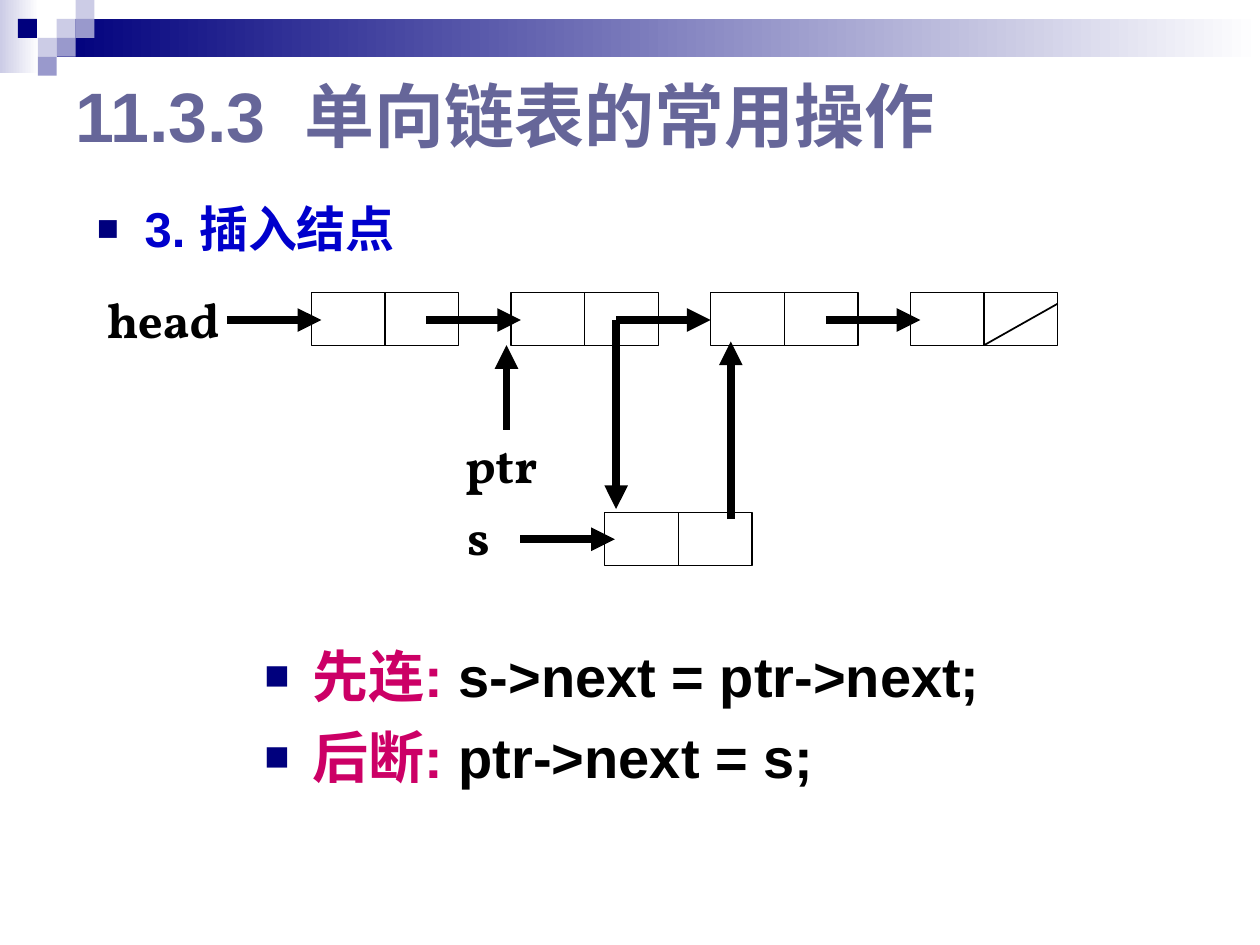
from dataclasses import dataclass

from lxml.etree import SubElement
from pptx import Presentation
from pptx.dml.color import RGBColor
from pptx.enum.shapes import MSO_CONNECTOR as Connector, MSO_SHAPE as Shape
from pptx.enum.text import MSO_ANCHOR as Anchor, PP_ALIGN as Align
from pptx.oxml.ns import qn
from pptx.util import Inches, Pt


@dataclass(frozen=True)
class Theme:
    navy: str = "00007D"
    lilac: str = "9999CC"
    pale: str = "CCCCE6"
    white: str = "FFFFFF"
    black: str = "000000"
    title: str = "666699"
    heading: str = "0000CC"
    step: str = "CC0066"
    sans: str = "Arial"
    serif: str = "Vollkorn"
    title_size: int = 40
    step_size: int = 32
    label_size: int = 28
    arrow_width: float = 4.5


THEME = Theme()
SQUARE = 0.15  # unit of the corner mosaic

# Linked-list grid: one column per node, two cells per node
FIRST_NODE, NODE_STEP = 2.47, 1.585
CELL_W, CELL_H = 0.585, 0.42
LIST_TOP, NEW_TOP = 2.32, 4.07
LIST_MID = LIST_TOP + 0.22
NEW_NODE = 4.8
LINK_BACK, LINK_IN = 0.67, 0.08  # an arrow starts before a node, ends inside it


def node_x(column):
    return FIRST_NODE + column * NODE_STEP


def color(value):
    return RGBColor.from_string(value)


def add_box(slide, x, y, w, h, fill=None, fade_to=None):
    """A filled block without outline, or an outlined empty cell."""
    box = slide.shapes.add_shape(Shape.RECTANGLE, *map(Inches, (x, y, w, h)))
    box.shadow.inherit = False
    if fade_to:
        box.fill.gradient()
        box.fill.gradient_angle = 0
        for stop, shade in zip(box.fill.gradient_stops, (fill, fade_to)):
            stop.color.rgb = color(shade)
    elif fill:
        box.fill.solid()
        box.fill.fore_color.rgb = color(fill)
    else:
        box.fill.background()
    if fill:
        box.line.fill.background()
    else:
        box.line.color.rgb = color(THEME.black)
        box.line.width = Pt(0.75)


def add_line(slide, start, end, width=THEME.arrow_width, arrow=True):
    line = slide.shapes.add_connector(
        Connector.STRAIGHT, *map(Inches, (*start, *end)))
    line.line.color.rgb = color(THEME.black)
    line.line.width = Pt(width)
    if arrow:
        SubElement(line.line._get_or_add_ln(), qn("a:tailEnd"), type="triangle")
    SubElement(line._element.spPr, qn("a:effectLst"))


def add_node(slide, x, y):
    for cell in range(2):
        add_box(slide, x + cell * CELL_W, y, CELL_W, CELL_H)


def add_link(slide, x, y):
    add_line(slide, (x - LINK_BACK, y), (x + LINK_IN, y))


def add_text_frame(slide, x, y, w, h, wrap=True):
    frame = slide.shapes.add_textbox(*map(Inches, (x, y, w, h))).text_frame
    frame.word_wrap = wrap
    return frame


def style(run, size, shade, face=THEME.sans):
    run.font.size = Pt(size)
    run.font.bold = True
    run.font.name = face
    run.font.color.rgb = color(shade)


def add_label(slide, text, x, y, w):
    frame = add_text_frame(slide, x, y, w, 0.57, wrap=False)
    frame.text = text
    style(frame.paragraphs[0].runs[0], THEME.label_size, THEME.black, THEME.serif)


def add_bullet(paragraph):
    props = paragraph._p.get_or_add_pPr()
    indent = Inches(0.38)
    props.set("marL", str(indent))
    props.set("indent", str(-indent))
    SubElement(SubElement(props, qn("a:buClr")), qn("a:srgbClr"), val=THEME.navy)
    SubElement(props, qn("a:buSzPct"), val="75000")
    SubElement(props, qn("a:buFont"), typeface=THEME.sans)
    SubElement(props, qn("a:buChar"), char="■")


def draw_header(slide):
    # Fading bands behind the mosaic
    add_box(slide, 0, 0, 0.31, 0.58, THEME.pale, THEME.white)
    add_box(slide, 3 * SQUARE, SQUARE, 10 - 3 * SQUARE, 2 * SQUARE,
            THEME.navy, THEME.white)
    # Mosaic squares by column and row
    mosaic = {THEME.pale: [(3, 1), (4, 0), (2, 2)],
              THEME.lilac: [(4, 1), (3, 2), (2, 3)],
              THEME.navy: [(0.95, 1)]}
    for shade, squares in mosaic.items():
        for column, row in squares:
            add_box(slide, column * SQUARE, row * SQUARE, SQUARE, SQUARE, shade)


def draw_headings(slide):
    title = add_text_frame(slide, 0.5, 0.5, 9, 0.81)
    title.vertical_anchor = Anchor.MIDDLE
    title.text = "11.3.3  单向链表的常用操作"
    style(title.paragraphs[0].runs[0], THEME.title_size, THEME.title)

    topic = add_text_frame(slide, 0.67, 1.62, 8.51, 5.28)
    topic.text = "3. 插入结点"
    paragraph = topic.paragraphs[0]
    paragraph.line_spacing = 0.8
    add_bullet(paragraph)
    style(paragraph.runs[0], THEME.label_size, THEME.heading)


def draw_list(slide):
    # Existing chain; the link after ptr branches
    for column in range(4):
        add_node(slide, node_x(column), LIST_TOP)
    for column in (0, 1, 3):
        add_link(slide, node_x(column), LIST_MID)
    last_cell = node_x(3) + CELL_W
    add_line(slide, (last_cell, LIST_TOP + CELL_H),
             (last_cell + CELL_W, LIST_TOP + 0.09), width=1, arrow=False)

    # New node s
    add_node(slide, NEW_NODE, NEW_TOP)
    add_link(slide, NEW_NODE, NEW_TOP + CELL_H / 2)

    # Old link, new links and the ptr pointer
    branch = (NEW_NODE + 0.09, LIST_MID)
    add_line(slide, branch, (node_x(2), LIST_MID))
    add_line(slide, branch, (branch[0], NEW_TOP - 0.03))
    add_line(slide, (5.8, NEW_TOP + 0.05), (5.8, 2.71))
    add_line(slide, (4.02, 3.41), (4.02, LIST_TOP + CELL_H))

    for label in (("head", 0.75, 2.25, 1.16), ("ptr", 3.59, 3.4, 0.81),
                  ("s", 3.61, 3.97, 0.39)):
        add_label(slide, *label)


def draw_steps(slide):
    frame = add_text_frame(slide, 2, 5.04, 6.47, 1.54)
    steps = [("先连: ", "s->next = ptr->next;"), ("后断: ", "ptr->next = s;")]
    for index, parts in enumerate(steps):
        paragraph = frame.add_paragraph() if index else frame.paragraphs[0]
        paragraph.alignment = Align.JUSTIFY
        if index:
            paragraph.space_before = Pt(8)
        add_bullet(paragraph)
        for part, shade in zip(parts, (THEME.step, THEME.black)):
            run = paragraph.add_run()
            run.text = part
            style(run, THEME.step_size, shade)


def main():
    deck = Presentation()
    deck.slide_width, deck.slide_height = Inches(10), Inches(7.5)
    slide = deck.slides.add_slide(deck.slide_layouts[6])
    draw_header(slide)
    draw_steps(slide)
    draw_list(slide)
    draw_headings(slide)
    deck.save("out.pptx")


if __name__ == "__main__":
    main()
